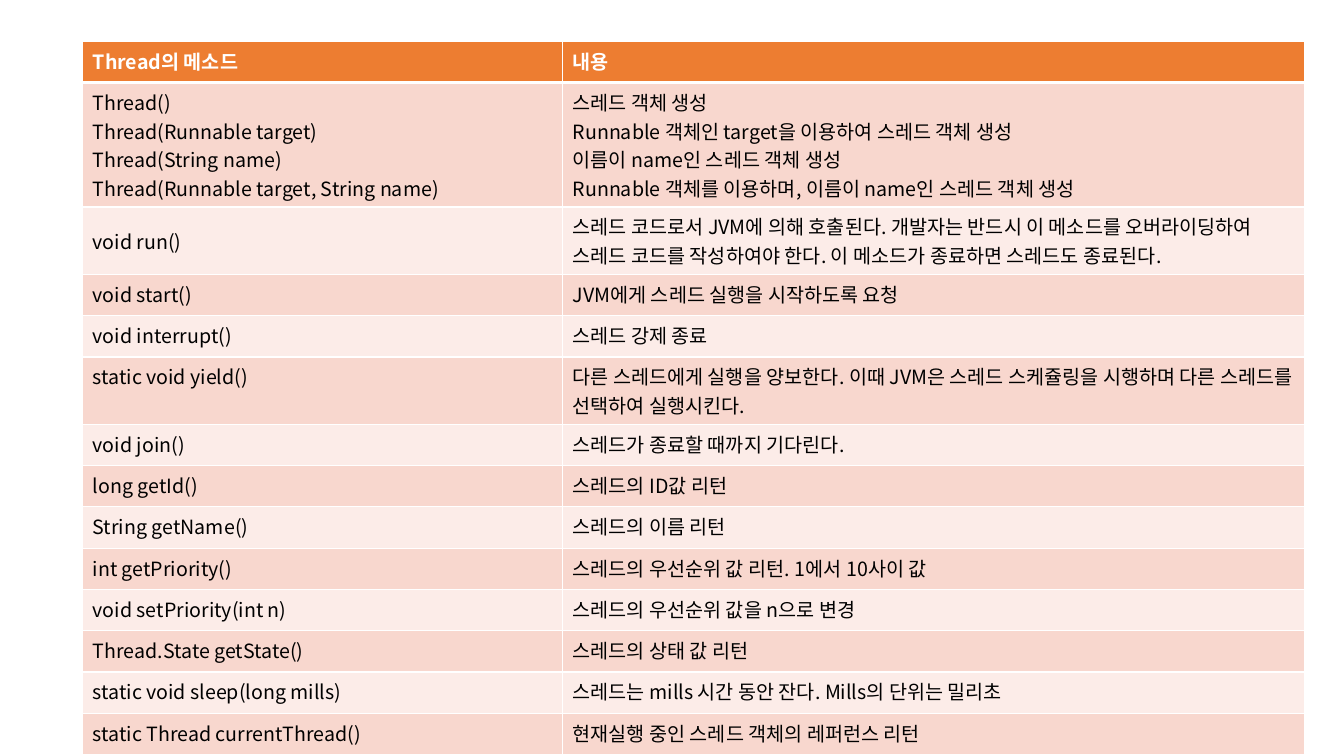
from lxml import etree
from pptx import Presentation
from pptx.dml.color import RGBColor
from pptx.enum.text import MSO_ANCHOR
from pptx.oxml.ns import qn
from pptx.util import Inches, Pt

HEADER = ("Thread의 메소드", "내용")
METHODS = [
    ("Thread()\nThread(Runnable target)\nThread(String name)\n"
     "Thread(Runnable target, String name)",
     "스레드 객체 생성\nRunnable 객체인 target을 이용하여 스레드 객체 생성\n"
     "이름이 name인 스레드 객체 생성\n"
     "Runnable 객체를 이용하며, 이름이 name인 스레드 객체 생성"),
    ("void run()",
     "스레드 코드로서 JVM에 의해 호출된다. 개발자는 반드시 이 메소드를 오버라이딩하여 "
     "스레드 코드를 작성하여야 한다. 이 메소드가 종료하면 스레드도 종료된다."),
    ("void start()", "JVM에게 스레드 실행을 시작하도록 요청"),
    ("void interrupt()", "스레드 강제 종료"),
    ("static void yield()",
     "다른 스레드에게 실행을 양보한다. 이때 JVM은 스레드 스케쥴링을 시행하며 다른 "
     "스레드를 선택하여 실행시킨다."),
    ("void join()", "스레드가 종료할 때까지 기다린다."),
    ("long getId()", "스레드의 ID값 리턴"),
    ("String getName()", "스레드의 이름 리턴"),
    ("int getPriority()", "스레드의 우선순위 값 리턴. 1에서 10사이 값"),
    ("void setPriority(int n)", "스레드의 우선순위 값을 n으로 변경"),
    ("Thread.State getState()", "스레드의 상태 값 리턴"),
    ("static void sleep(long mills)", "스레드는 mills 시간 동안 잔다. Mills의 단위는 밀리초"),
    ("static Thread currentThread()", "현재실행 중인 스레드 객체의 레퍼런스 리턴"),
]


def rgb(value):
    return RGBColor.from_string(value)


class Deck:
    font = "Noto Sans CJK KR"
    size = 14
    head_fill, bands = "ED7D31", ("F8D7CE", "FCECE8")
    head_text, body_text, rule = "FFFFFF", "000000", "FFFFFF"

    def __init__(self, width, height):
        self.prs = Presentation()
        self.prs.slide_width, self.prs.slide_height = Inches(width), Inches(height)
        self.s = self.prs.slides.add_slide(self.prs.slide_layouts[6])

    def text(self, tf, text, color, bold):
        tf.text = text
        style = {"name": self.font, "size": Pt(self.size), "bold": bold}
        for p in tf.paragraphs:
            for r in p.runs:
                for key, value in style.items():
                    setattr(r.font, key, value)
                r.font.color.rgb = rgb(color)
                # East Asian typeface for the Korean text
                ea = etree.SubElement(r.font._element, qn("a:ea"))
                ea.set("typeface", self.font)

    def borders(self, cell, **widths):
        tcPr = cell._tc.get_or_add_tcPr()
        for side in "LRTB":
            ln = etree.SubElement(tcPr, qn("a:ln" + side), w=str(Pt(widths.get(side, 1))))
            fill = etree.SubElement(ln, qn("a:solidFill"))
            etree.SubElement(fill, qn("a:srgbClr"), val=self.rule)

    def table(self, rows, left, top, col_widths, row_height):
        table = self.s.shapes.add_table(
            len(rows), len(col_widths), Inches(left), Inches(top),
            Inches(sum(col_widths)), Inches(row_height * len(rows))).table
        for col, width in zip(table.columns, col_widths):
            col.width = Inches(width)
        for i, row in enumerate(rows):
            table.rows[i].height = Inches(row_height)
            head = i == 0
            # Thick rule between the header and the body
            widths = {0: {"B": 3}, 1: {"T": 3}}.get(i, {})
            for j, text in enumerate(row):
                cell = table.cell(i, j)
                self.borders(cell, **widths)
                cell.fill.solid()
                cell.fill.fore_color.rgb = rgb(
                    self.head_fill if head else self.bands[(i - 1) % 2])
                self.text(cell.text_frame, text,
                          self.head_text if head else self.body_text, head)
        return table


deck = Deck(13.33, 7.5)

# Table of Thread methods
table = deck.table([HEADER] + METHODS, 0.82, 0.41, (4.76, 7.36), 0.41)

# run() is centred beside its two-line description
table.cell(2, 0).vertical_anchor = MSO_ANCHOR.MIDDLE

deck.prs.save("out.pptx")
